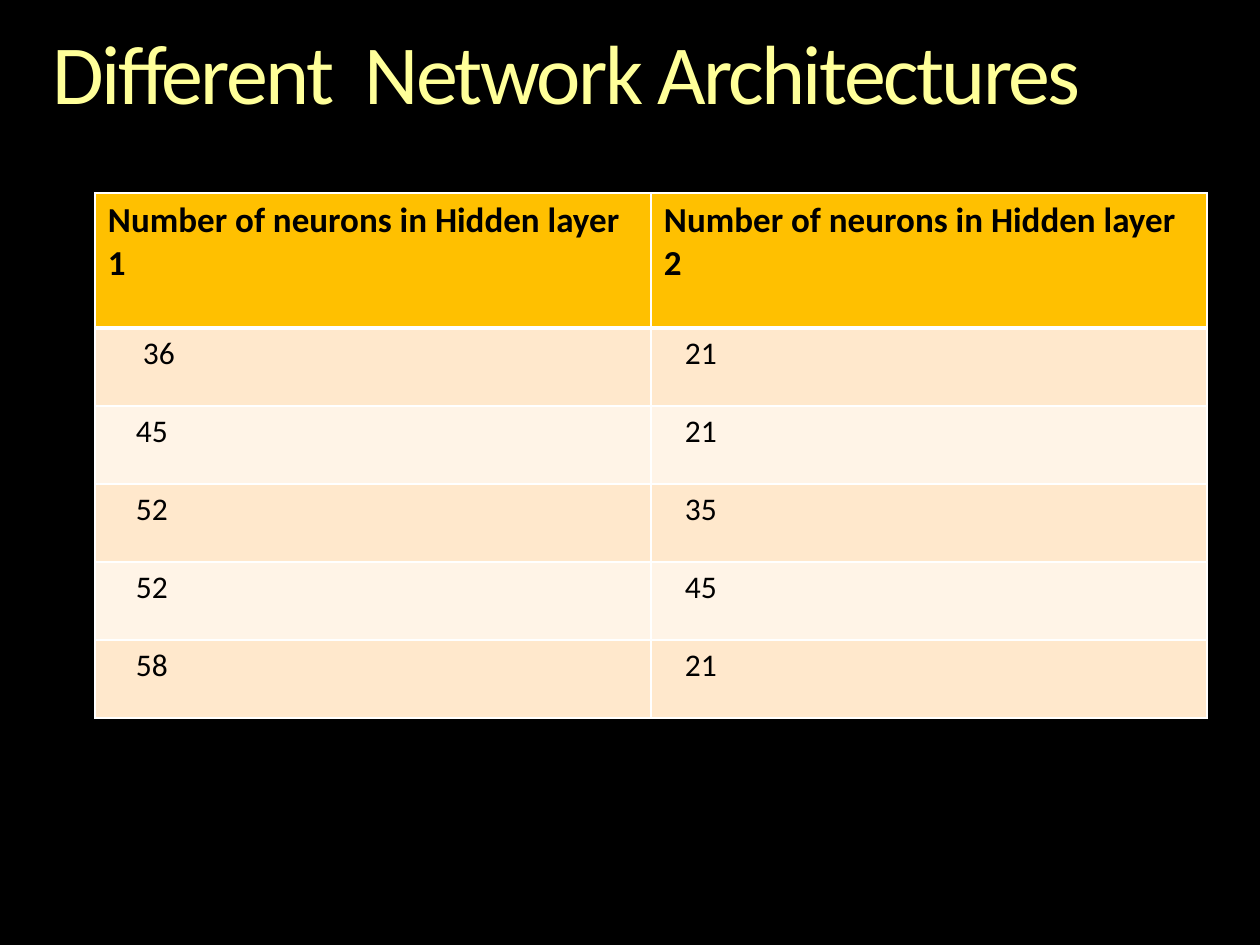
from dataclasses import dataclass

from lxml.etree import SubElement
from pptx import Presentation
from pptx.dml.color import RGBColor
from pptx.enum.text import MSO_ANCHOR
from pptx.oxml.ns import qn
from pptx.util import Pt

PX = 914400 / 126


@dataclass(frozen=True)
class Theme:
    font: str = "Calibri"
    background: str = "000000"
    title: str = "FFFF99"
    text: str = "000000"
    header: str = "FFC000"
    bands: tuple = ("FFE8CC", "FFF4E7")
    border: str = "FFFFFF"
    title_size: int = 48
    header_size: int = 20
    body_size: int = 18


theme = Theme()


def px(length):
    return round(length * PX)


def add_run(paragraph, text, size, color, bold=False):
    run = paragraph.add_run()
    run.text = text
    run.font.name = theme.font
    run.font.size = Pt(size)
    run.font.bold = bold
    run.font.color.rgb = RGBColor.from_string(color)
    return run


presentation = Presentation()
presentation.slide_width = px(1260)
presentation.slide_height = px(945)
slide = presentation.slides.add_slide(presentation.slide_layouts[6])
slide.background.fill.solid()
slide.background.fill.fore_color.rgb = RGBColor.from_string(theme.background)

# Title
title = slide.shapes.add_textbox(px(53), px(32), px(1155), px(92))
frame = title.text_frame
frame.word_wrap = True
frame.margin_left = frame.margin_top = frame.margin_right = frame.margin_bottom = 0
paragraph = frame.paragraphs[0]
paragraph.line_spacing = 0.9
title_run = add_run(paragraph, "Different  Network Architectures",
                    theme.title_size, theme.title)
title_run.font._element.set("spc", "-150")

# Table of layer sizes
rows = [
    ("Number of neurons in Hidden layer 1", "Number of neurons in Hidden layer 2"),
    ("36", "21"),
    ("45", "21"),
    ("52", "35"),
    ("52", "45"),
    ("58", "21"),
]
header_height, row_height, column_width = 135, 78, 556
header_margin, body_margins, first_value_margin = 13, (41, 34), 48
table = slide.shapes.add_table(
    len(rows), 2, px(95), px(193), px(2 * column_width),
    px(header_height + row_height * (len(rows) - 1))).table

for column in table.columns:
    column.width = px(column_width)

for row_index, values in enumerate(rows):
    is_header = row_index == 0
    table.rows[row_index].height = px(header_height if is_header else row_height)
    fill = theme.header if is_header else theme.bands[(row_index - 1) % 2]
    size = theme.header_size if is_header else theme.body_size
    border_widths = {
        "a:lnL": 1,
        "a:lnR": 1,
        "a:lnT": 3 if row_index == 1 else 1,
        "a:lnB": 3 if is_header else 1,
    }
    for column_index, value in enumerate(values):
        cell = table.cell(row_index, column_index)
        margin = header_margin if is_header else body_margins[column_index]
        if (row_index, column_index) == (1, 0):
            margin = first_value_margin
        cell.margin_left = px(margin)
        cell.vertical_anchor = MSO_ANCHOR.TOP
        add_run(cell.text_frame.paragraphs[0], value, size, theme.text, is_header)

        # Borders come before the fill in the cell properties
        properties = cell._tc.get_or_add_tcPr()
        for tag, width in border_widths.items():
            line = SubElement(properties, qn(tag), w=str(Pt(width)))
            line_fill = SubElement(line, qn("a:solidFill"))
            SubElement(line_fill, qn("a:srgbClr"), val=theme.border)
        cell.fill.solid()
        cell.fill.fore_color.rgb = RGBColor.from_string(fill)

presentation.save("out.pptx")
